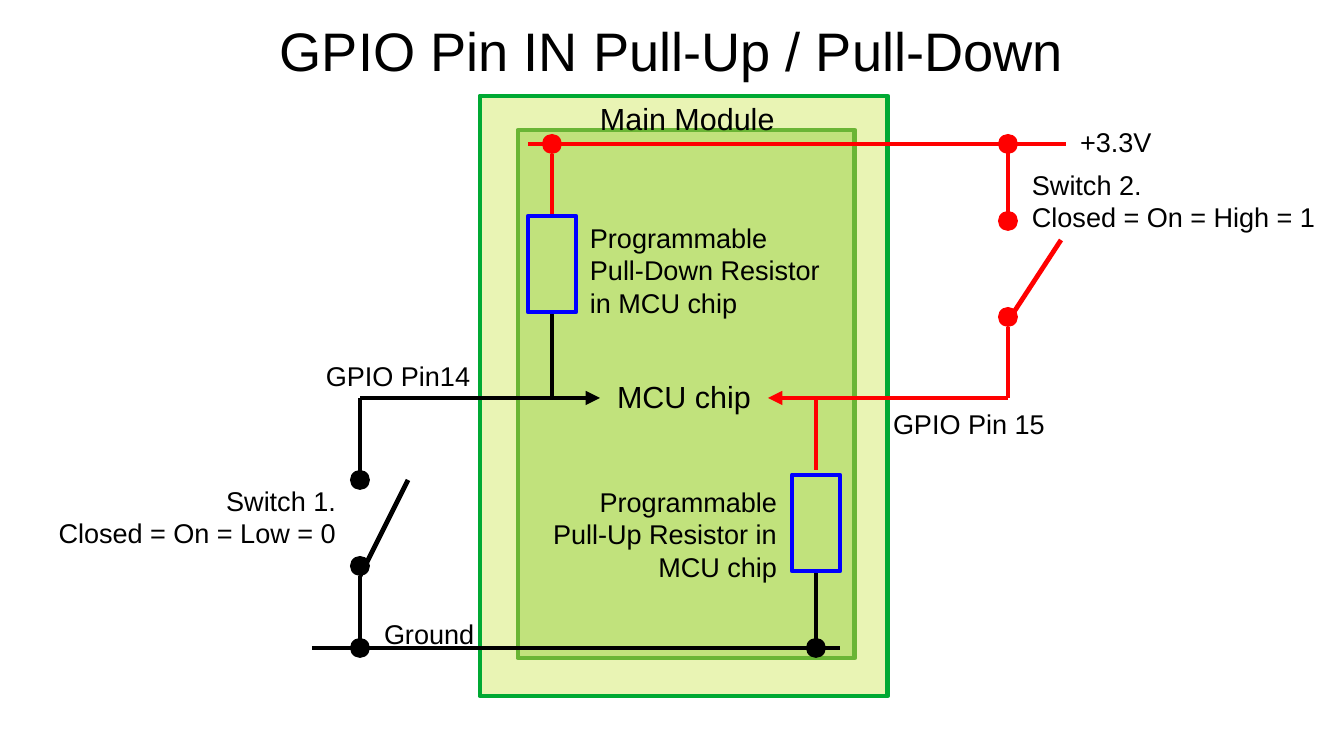
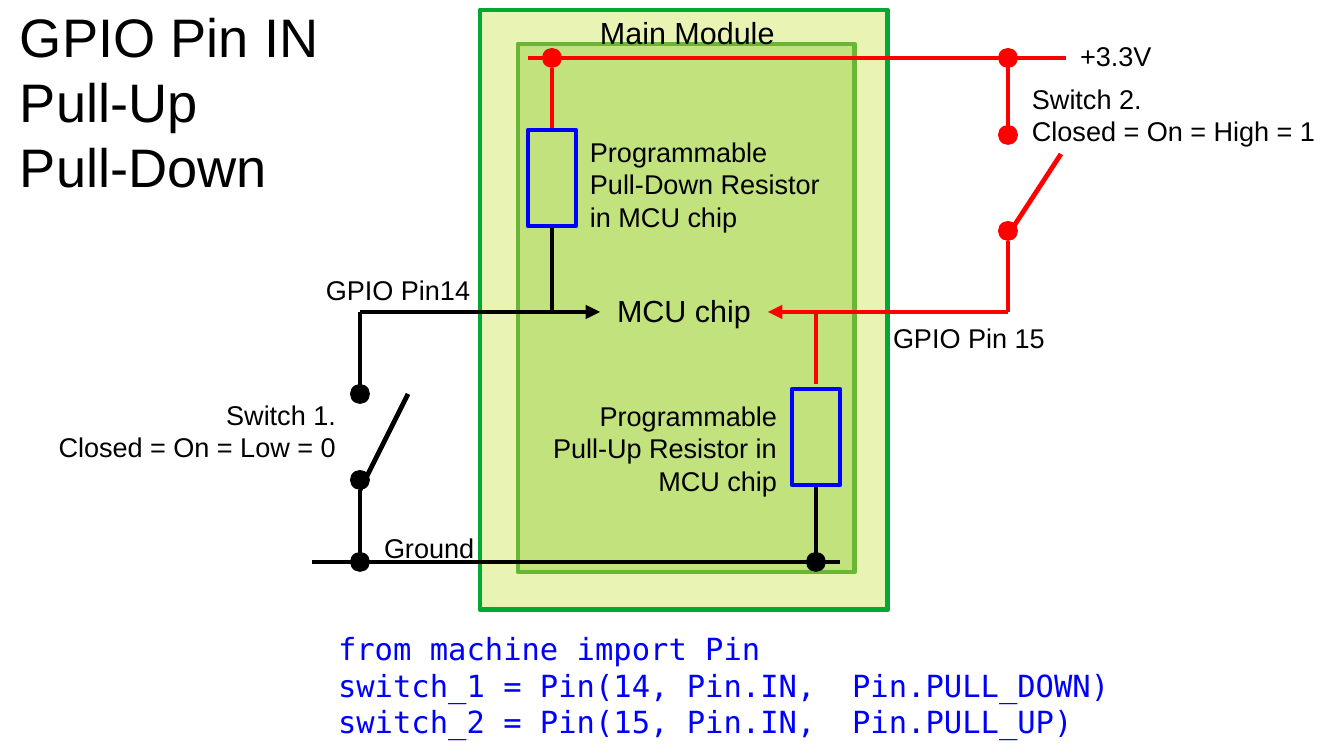
import pptx
import pptx.util
import pptx.dml.color
import pptx.enum.shapes
import pptx.enum.text
import pptx.oxml
import pptx.oxml.ns

SCALE = 7495
COLORS = {
    "ink": "000000",
    "power": "FF0000",
    "resistor": "0000FF",
    "code": "0000FF",
    "chip": "5EB91E",
    "chip_edge": "008000",
    "module": "D4EA6B",
    "module_edge": "00A933",
}
STROKE = 2.83
DOT = 20
MODULE_SIZE = (408, 600)
CHIP_BOX = (38, 34, 337, 528)
RESISTOR_SIZE = (48, 96)
LEFT, CENTER, RIGHT = (
    pptx.enum.text.PP_ALIGN.LEFT,
    pptx.enum.text.PP_ALIGN.CENTER,
    pptx.enum.text.PP_ALIGN.RIGHT,
)
TOP, MIDDLE = pptx.enum.text.MSO_ANCHOR.TOP, pptx.enum.text.MSO_ANCHOR.MIDDLE

SWITCH_1_X, PULL_DOWN_X, PULL_UP_X, SWITCH_2_X = -120, 72, 336, 528
POWER_Y, PIN_Y, GROUND_Y = 48, 302, 552

WIRES = [
    ("power", (48, POWER_Y), (586, POWER_Y), False),
    ("power", (SWITCH_2_X, 125), (SWITCH_2_X, POWER_Y), False),
    ("power", (534, 216), (581, 144), False),
    ("power", (SWITCH_2_X, PIN_Y), (SWITCH_2_X, 231), False),
    ("power", (SWITCH_2_X, PIN_Y), (288, PIN_Y), True),
    ("power", (PULL_UP_X, 374), (PULL_UP_X, PIN_Y), False),
    ("power", (PULL_DOWN_X, 120), (PULL_DOWN_X, 58), False),
    ("ink", (PULL_UP_X, 548), (PULL_UP_X, 475), False),
    ("ink", (-168, GROUND_Y), (360, GROUND_Y), False),
    ("ink", (PULL_DOWN_X, PIN_Y), (PULL_DOWN_X, 216), False),
    ("ink", (SWITCH_1_X, PIN_Y), (120, PIN_Y), True),
    ("ink", (SWITCH_1_X, 375), (SWITCH_1_X, PIN_Y), False),
    ("ink", (SWITCH_1_X, GROUND_Y), (SWITCH_1_X, 480), False),
    ("ink", (SWITCH_1_X, 480), (-72, 384), False),
]
DOTS = [
    ("power", SWITCH_2_X, POWER_Y),
    ("power", SWITCH_2_X, 125),
    ("power", SWITCH_2_X, 221),
    ("power", PULL_DOWN_X, POWER_Y),
    ("ink", SWITCH_1_X, 384),
    ("ink", SWITCH_1_X, 470),
    ("ink", SWITCH_1_X, GROUND_Y),
    ("ink", PULL_UP_X, GROUND_Y),
]
RESISTORS = [(PULL_DOWN_X, 120), (PULL_UP_X, 379)]
LABELS = [
    ("Main Module", (120, 4, 200, 34), LEFT, 18),
    ("+3.3V", (600, 29, 240, 67), LEFT, 16),
    ("Switch 2.\nClosed = On = High = 1", (552, 72, 300, 72), LEFT, 16),
    ("Programmable\nPull-Down Resistor in MCU chip", (110, 125, 240, 90), LEFT, 16),
    ("GPIO Pin14", (-154, 263, 168, 30), LEFT, 16),
    ("GPIO Pin 15", (413, 311, 192, 30), LEFT, 16),
    ("Programmable\nPull-Up Resistor in MCU chip", (57, 389, 240, 90), RIGHT, 16),
    ("Switch 1.\nClosed = On = Low = 0", (-432, 388, 288, 72), RIGHT, 16),
    ("Ground", (-96, 521, 240, 30), LEFT, 16),
]
CODE = """from machine import Pin
switch_1 = Pin(14, Pin.IN,  Pin.PULL_DOWN)
switch_2 = Pin(15, Pin.IN,  Pin.PULL_UP)"""


def px(*lengths):
    """Turn pixel lengths into EMU."""
    return [pptx.util.Emu(length * SCALE) for length in lengths]


def rgb(name):
    """Look up a palette colour."""
    return pptx.dml.color.RGBColor.from_string(COLORS[name])


def write_text(frame, text, size=16, color="ink", font="Arial", align=LEFT,
               anchor=TOP, inset=(0, 0)):
    """Fill a text frame with one formatted paragraph per line."""
    frame.word_wrap = True
    frame.auto_size = pptx.enum.text.MSO_AUTO_SIZE.NONE
    frame.vertical_anchor = anchor
    frame.margin_left, frame.margin_top = px(*inset)
    frame.margin_right, frame.margin_bottom = px(*inset)
    frame.text = text
    for para in frame.paragraphs:
        para.alignment = align
        for span in para.runs:
            span.font.size = pptx.util.Pt(size)
            span.font.name = font
            span.font.color.rgb = rgb(color)


def add_text(page, text, box, **text_format):
    """Add a text box in the given box."""
    write_text(page.shapes.add_textbox(*px(*box)).text_frame, text, **text_format)


def add_figure(page, kind, box, fill=None, edge=None, opacity=100):
    """Add a preset shape with an optional fill and outline."""
    shape = page.shapes.add_shape(kind, *px(*box))
    shape.shadow.inherit = False
    if fill:
        shape.fill.solid()
        shape.fill.fore_color.rgb = rgb(fill)
        if opacity < 100:
            tint = shape.element.spPr.find(".//" + pptx.oxml.ns.qn("a:srgbClr"))
            tint.append(pptx.oxml.parse_xml(
                f'<a:alpha {pptx.oxml.ns.nsdecls("a")} val="{opacity * 1000}"/>'))
    else:
        shape.fill.background()
    if edge:
        shape.line.color.rgb = rgb(edge)
        shape.line.width = pptx.util.Pt(STROKE)
    else:
        shape.line.fill.background()
    return shape


def add_wire(page, color, start, end, arrow):
    """Add a straight wire, with an arrowhead at its end if asked."""
    wire = page.shapes.add_connector(
        pptx.enum.shapes.MSO_CONNECTOR.STRAIGHT, *px(*start, *end))
    wire.line.color.rgb = rgb(color)
    wire.line.width = pptx.util.Pt(STROKE)
    namespace = pptx.oxml.ns.nsdecls("a")
    if arrow:
        outline = wire.element.spPr.find(pptx.oxml.ns.qn("a:ln"))
        outline.append(pptx.oxml.parse_xml(f'<a:tailEnd {namespace} type="triangle"/>'))
    wire.element.spPr.append(pptx.oxml.parse_xml(f"<a:effectLst {namespace}/>"))


def add_circuit(page, left, top):
    """Draw the circuit around a module whose corner is given."""
    rectangle = pptx.enum.shapes.MSO_SHAPE.RECTANGLE
    oval = pptx.enum.shapes.MSO_SHAPE.OVAL

    def place(x, y, *size):
        """Shift a position from the module to the slide."""
        return (left + x, top + y, *size)

    add_figure(page, rectangle, place(*CHIP_BOX), "chip", "chip_edge", 50)
    module = add_figure(page, rectangle, place(0, 0, *MODULE_SIZE),
                        "module", "module_edge", 50)
    write_text(module.text_frame, "MCU chip", size=18, align=CENTER, anchor=MIDDLE,
               inset=(15, 9))
    for color, start, end, arrow in WIRES:
        add_wire(page, color, place(*start), place(*end), arrow)
    for color, x, y in DOTS:
        add_figure(page, oval, place(x - DOT // 2, y - DOT // 2, DOT, DOT), color)
    for x, y in RESISTORS:
        box = place(x - RESISTOR_SIZE[0] // 2, y, *RESISTOR_SIZE)
        add_figure(page, rectangle, box, edge="resistor")
    for text, box, align, size in LABELS:
        add_text(page, text, place(*box), align=align, size=size)


def add_page(deck, title, title_box, align, module_corner):
    """Add a title-only slide with its title and circuit."""
    page = deck.slides.add_slide(deck.slide_layouts[5])
    heading = page.shapes.title
    heading.left, heading.top, heading.width, heading.height = px(*title_box)
    write_text(heading.text_frame, title, size=32, align=align, anchor=MIDDLE)
    add_circuit(page, *module_corner)
    return page


def main():
    """Build and save the deck."""
    deck = pptx.Presentation()
    deck.slide_width, deck.slide_height = px(1344, 756)
    add_page(deck, "GPIO Pin IN Pull-Up / Pull-Down", (24, 9, 1296, 82),
             CENTER, (480, 96))
    page = add_page(deck, "GPIO Pin IN\nPull-Up\nPull-Down", (20, 9, 384, 183),
                    LEFT, (480, 10))
    add_text(page, CODE, (326, 624, 826, 118), size=18, color="code",
             font="DejaVu Sans Mono", inset=(12, 6))
    deck.save("out.pptx")


if __name__ == "__main__":
    main()
